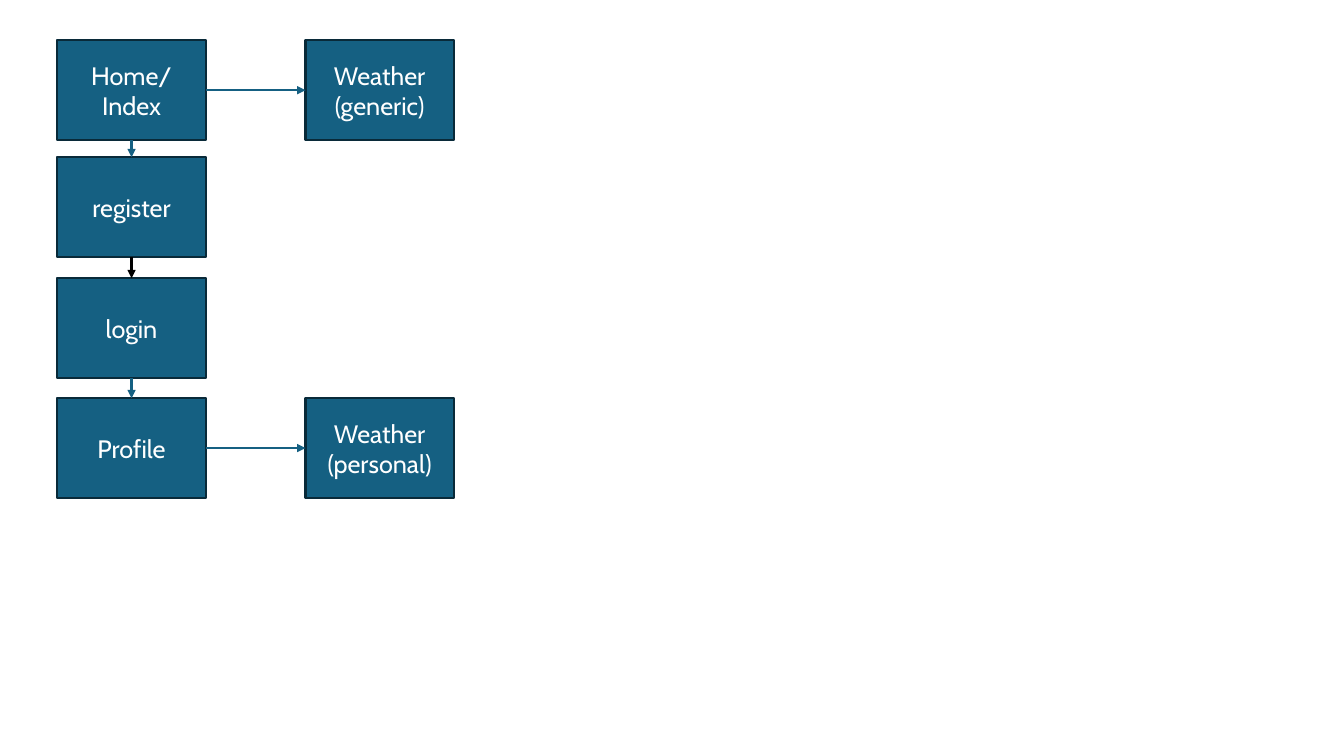
from lxml.etree import SubElement
from pptx import Presentation
from pptx.dml.color import RGBColor
from pptx.enum.shapes import MSO_CONNECTOR, MSO_SHAPE
from pptx.enum.text import MSO_ANCHOR, PP_ALIGN
from pptx.oxml.ns import qn
from pptx.util import Emu, Pt

PX = 9144  # 100 px to the inch
COLORS = {"box": "156082", "border": "092A39", "text": "FFFFFF", "dark": "000000"}
FONT = "Cabin"
BOX_W, BOX_H = 147, 99
BOTTOM, RIGHT, TOP, LEFT = 2, 3, 0, 1


def px(n):
    return Emu(n * PX)


def color(name):
    return RGBColor.from_string(COLORS[name])


def add_page_box(slide, x, y, text):
    sp = slide.shapes.add_shape(MSO_SHAPE.RECTANGLE, px(x), px(y), px(BOX_W), px(BOX_H))
    sp.shadow.inherit = False
    sp.fill.solid()
    sp.fill.fore_color.rgb = color("box")
    sp.line.color.rgb = color("border")
    sp.line.width = Pt(1.5)
    tf = sp.text_frame
    tf.text = text
    tf.word_wrap = True
    tf.vertical_anchor = MSO_ANCHOR.MIDDLE
    for p in tf.paragraphs:
        p.alignment = PP_ALIGN.CENTER
        for r in p.runs:
            r.font.name = FONT
            r.font.size = Pt(18)
            r.font.color.rgb = color("text")
    return sp


def add_arrow(slide, start, start_side, end, end_side, line_color="box"):
    cxn = slide.shapes.add_connector(MSO_CONNECTOR.STRAIGHT, 0, 0, 0, 0)
    cxn.begin_connect(start, start_side)
    cxn.end_connect(end, end_side)
    cxn.line.color.rgb = color(line_color)
    cxn.line.width = Pt(1.5)
    SubElement(cxn.line._get_or_add_ln(), qn("a:tailEnd"), type="triangle")
    SubElement(cxn._element.spPr, qn("a:effectLst"))


def add_site_map(slide, x, y):
    # Main column of pages: text and offset from the top
    pages = [("Home/\nIndex", 0), ("register", 116), ("login", 236), ("Profile", 355)]
    column = [add_page_box(slide, x, y + dy, text) for text, dy in pages]

    # Arrows down the column
    for start, end, line_color in zip(column, column[1:], ["box", "dark", "box"]):
        add_arrow(slide, start, BOTTOM, end, TOP, line_color)

    # Weather pages beside the first and last page
    for i, kind in [(0, "generic"), (-1, "personal")]:
        weather = add_page_box(slide, x + 246, y + pages[i][1], f"Weather\n({kind})")
        add_arrow(slide, column[i], RIGHT, weather, LEFT)


def main():
    prs = Presentation()
    prs.slide_width, prs.slide_height = px(1333), px(750)
    slide = prs.slides.add_slide(prs.slide_layouts[6])
    add_site_map(slide, 57, 40)
    prs.save("out.pptx")


if __name__ == "__main__":
    main()
